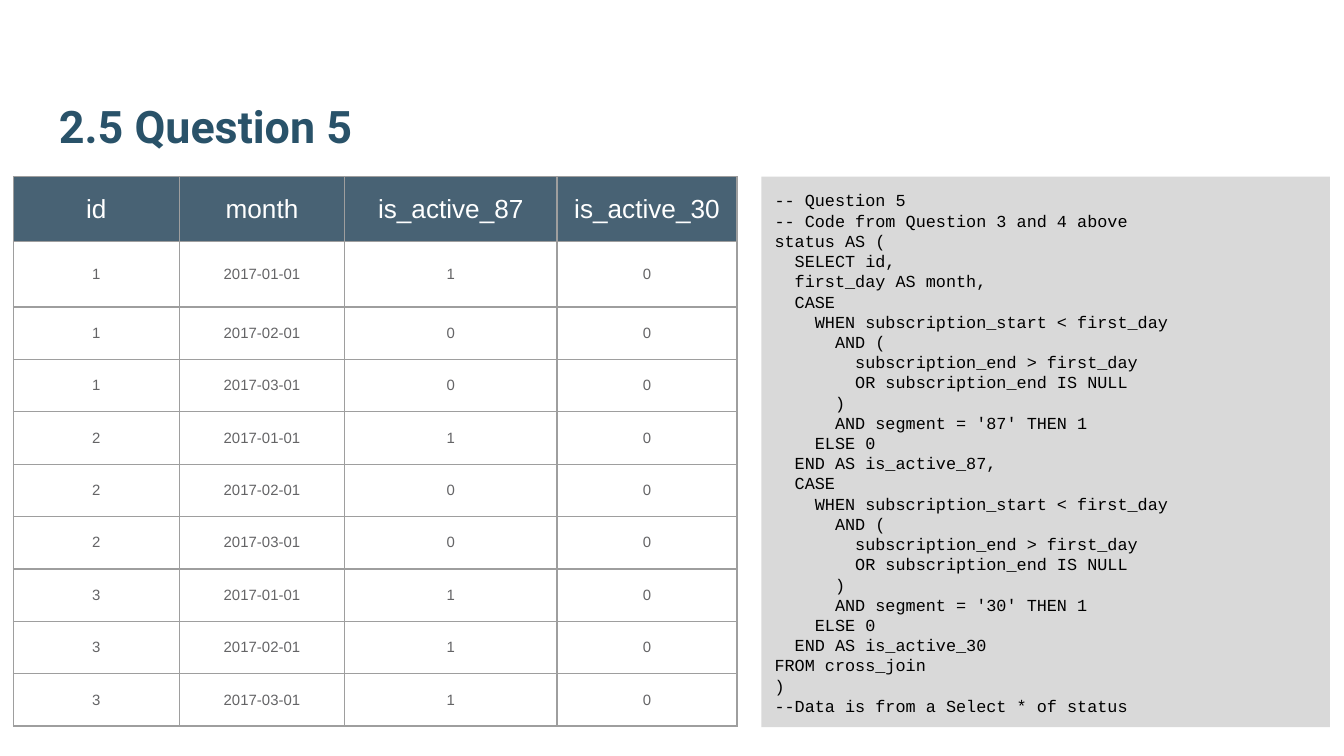
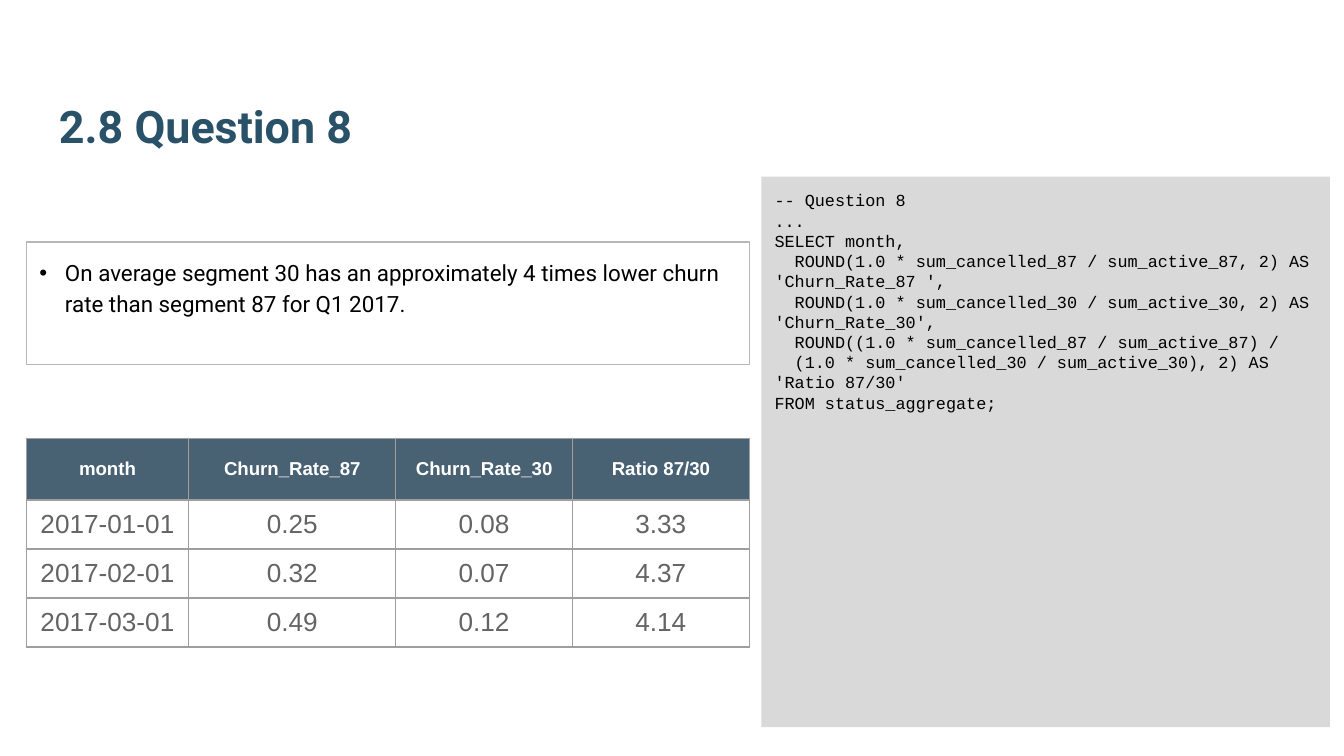
from lxml import etree
from pptx import Presentation
from pptx.dml.color import RGBColor
from pptx.enum.shapes import MSO_SHAPE
from pptx.enum.text import MSO_ANCHOR, PP_ALIGN
from pptx.oxml.ns import qn
from pptx.util import Emu, Pt

RECTANGLE = MSO_SHAPE.RECTANGLE
TOP, MIDDLE, BOTTOM = MSO_ANCHOR.TOP, MSO_ANCHOR.MIDDLE, MSO_ANCHOR.BOTTOM
LEFT, CENTER = PP_ALIGN.LEFT, PP_ALIGN.CENTER

SCALE = 4572
TITLE_COLOR = "295269"
HEADER_FILL = "204056"
HEADER_OPACITY = 82
HEADER_TEXT = "FFFFFF"
BODY_TEXT = "646466"
GRID_COLOR = "9E9E9E"
CODE_FILL = "D9D9D9"
NOTE_LINE = "B7B7B7"
BLACK = "000000"

ACTIVE_HEADER = ["id", "month", "is_active_87", "is_active_30"]
MONTHS = ["2017-01-01", "2017-02-01", "2017-03-01"]
ACTIVE_87 = {"1": "100", "2": "100", "3": "111"}
ACTIVE_ROWS = [
    [user, month, active, "0"]
    for user, flags in ACTIVE_87.items()
    for month, active in zip(MONTHS, flags)
]

CHURN_HEADER = ["month", "Churn_Rate_87", "Churn_Rate_30", "Ratio 87/30"]
CHURN_ROWS = [
    ["2017-01-01", "0.25", "0.08", "3.33"],
    ["2017-02-01", "0.32", "0.07", "4.37"],
    ["2017-03-01", "0.49", "0.12", "4.14"],
]
CHURN_NOTE = (
    "On average segment 30 has an approximately 4 times lower churn "
    "rate than segment 87 for Q1 2017."
)

SEGMENT_CASE = """  CASE
    WHEN subscription_start < first_day
      AND (
        subscription_end > first_day
        OR subscription_end IS NULL
      )
      AND segment = '{0}' THEN 1
    ELSE 0
  END AS is_active_{0}"""

STATUS_CODE = f"""-- Question 5
-- Code from Question 3 and 4 above
status AS (
  SELECT id,
  first_day AS month,
{SEGMENT_CASE.format(87)},
{SEGMENT_CASE.format(30)}
FROM cross_join
)
--Data is from a Select * of status"""

CHURN_CODE = """-- Question 8
...
SELECT month,
  ROUND(1.0 * sum_cancelled_87 / sum_active_87, 2) AS 'Churn_Rate_87 ',
  ROUND(1.0 * sum_cancelled_30 / sum_active_30, 2) AS 'Churn_Rate_30',
  ROUND((1.0 * sum_cancelled_87 / sum_active_87) /
  (1.0 * sum_cancelled_30 / sum_active_30), 2) AS 'Ratio 87/30'
FROM status_aggregate;"""


def px(length):
    return Emu(length * SCALE)


def color(value):
    return RGBColor.from_string(value)


def add_span(para, text, font, size, ink, bold=False):
    span = para.add_run()
    span.text = text
    span.font.name = font
    span.font.size = Pt(size)
    span.font.bold = bold
    span.font.color.rgb = color(ink)


def prepare_frame(box, anchor):
    frame = box.text_frame
    frame.word_wrap = True
    frame.vertical_anchor = anchor
    frame.margin_left = frame.margin_right = px(20)
    frame.margin_top = frame.margin_bottom = px(20)
    return frame


def add_title(page, text):
    box = page.shapes.add_textbox(px(68), px(63), px(1864), px(184))
    para = prepare_frame(box, BOTTOM).paragraphs[0]
    add_span(para, text, "Roboto", 24, TITLE_COLOR, True)


def add_panel(page, left, top, width, height, fill=None, line=None):
    box = page.shapes.add_shape(RECTANGLE, px(left), px(top), px(width), px(height))
    box.shadow.inherit = False
    if fill:
        box.fill.solid()
        box.fill.fore_color.rgb = color(fill)
    else:
        box.fill.background()
    if line:
        box.line.color.rgb = color(line)
        box.line.width = Pt(0.75)
    else:
        box.line.fill.background()
    return prepare_frame(box, TOP)


def add_code(page, code):
    frame = add_panel(page, 1133, 263, 846, 819, fill=CODE_FILL)
    for index, line in enumerate(code.splitlines()):
        para = frame.add_paragraph() if index else frame.paragraphs[0]
        para.alignment = LEFT
        add_span(para, line, "Courier New", 9, BLACK)


def set_bullet(para, indent):
    props = para._p.get_or_add_pPr()
    props.set("marL", str(px(indent)))
    props.set("indent", str(-px(indent)))
    tint = etree.SubElement(props, qn("a:buClr"))
    etree.SubElement(tint, qn("a:srgbClr"), val=BLACK)
    etree.SubElement(props, qn("a:buFont"), typeface="Arial")
    etree.SubElement(props, qn("a:buChar"), char="•")


def add_note(page, text):
    frame = add_panel(page, 39, 360, 1076, 183, line=NOTE_LINE)
    para = frame.paragraphs[0]
    set_bullet(para, 38)
    para.alignment = LEFT
    para.line_spacing = 1.15
    add_span(para, text, "Roboto", 12, BLACK)


def set_borders(cell):
    props = cell._tc.get_or_add_tcPr()
    for side in ("a:lnL", "a:lnR", "a:lnT", "a:lnB"):
        line = etree.SubElement(props, qn(side), w=str(Pt(0.75)))
        solid = etree.SubElement(line, qn("a:solidFill"))
        etree.SubElement(solid, qn("a:srgbClr"), val=GRID_COLOR)


def fill_header(cell):
    cell.fill.solid()
    cell.fill.fore_color.rgb = color(HEADER_FILL)
    tint = cell._tc.tcPr.find(qn("a:solidFill")).find(qn("a:srgbClr"))
    etree.SubElement(tint, qn("a:alpha"), val=str(HEADER_OPACITY * 1000))


def add_grid(page, left, top, widths, heights, rows, header_size, body_size, bold):
    frame = page.shapes.add_table(
        len(rows), len(widths), px(left), px(top), px(sum(widths)), px(sum(heights))
    )
    table = frame.table
    table.first_row = table.horz_banding = False
    for column, width in zip(table.columns, widths):
        column.width = px(width)
    for index, (row, height, values) in enumerate(zip(table.rows, heights, rows)):
        row.height = px(height)
        for cell, value in zip(row.cells, values):
            set_borders(cell)
            cell.vertical_anchor = MIDDLE
            cell.margin_left = cell.margin_right = px(10)
            para = cell.text_frame.paragraphs[0]
            para.alignment = CENTER
            if index == 0:
                fill_header(cell)
                add_span(para, value, "Arial", header_size, HEADER_TEXT, bold)
            else:
                cell.fill.background()
                add_span(para, value, "Arial", body_size, BODY_TEXT)


def add_page(deck, title, code):
    page = deck.slides.add_slide(deck.slide_layouts[6])
    add_title(page, title)
    add_code(page, code)
    return page


def main():
    deck = Presentation()
    deck.slide_width, deck.slide_height = px(2000), px(1125)

    status_page = add_page(deck, "2.5 Question 5", STATUS_CODE)
    add_grid(status_page, 20, 263, [247, 246, 316, 268], [97] * 2 + [78] * 8,
             [ACTIVE_HEADER] + ACTIVE_ROWS, 14, 8, False)

    churn_page = add_page(deck, "2.8 Question 8", CHURN_CODE)
    add_note(churn_page, CHURN_NOTE)
    add_grid(churn_page, 39, 652, [242, 308, 263, 263], [92] + [73] * 3,
             [CHURN_HEADER] + CHURN_ROWS, 10, 14, True)

    deck.save("out.pptx")


if __name__ == "__main__":
    main()
